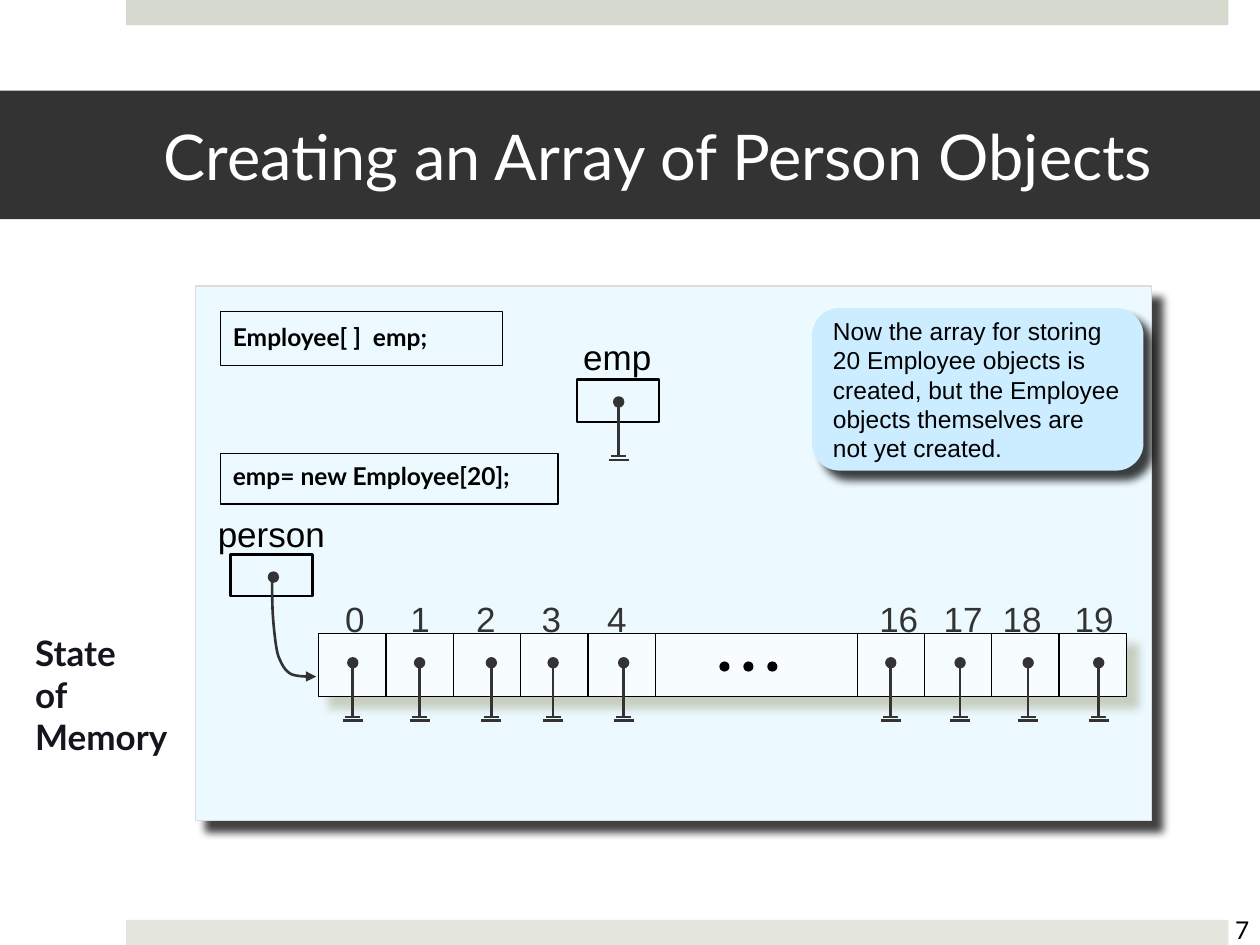
from lxml.etree import SubElement
from pptx import Presentation
from pptx.dml.color import RGBColor
from pptx.enum.shapes import MSO_CONNECTOR as Connector, MSO_SHAPE as Shape
from pptx.enum.text import MSO_ANCHOR as Anchor, PP_ALIGN as Align
from pptx.oxml.ns import qn
from pptx.util import Inches, Pt

BLACK = RGBColor(0x00, 0x00, 0x00)
WHITE = RGBColor(0xFF, 0xFF, 0xFF)
DARK = RGBColor(0x33, 0x33, 0x33)
INK = RGBColor(0x15, 0x15, 0x1D)
TOP_BAND = RGBColor(0xD6, 0xD9, 0xCD)
BOTTOM_BAND = RGBColor(0xE4, 0xE6, 0xDE)
PANEL = RGBColor(0xEC, 0xF9, 0xFE)
PANEL_EDGE = RGBColor(0xDD, 0xDD, 0xDD)
CELL = RGBColor(0xF7, 0xFD, 0xFF)
CELL_SHADOW = RGBColor(0xBB, 0xC0, 0xAC)
CALLOUT = RGBColor(0xCC, 0xEC, 0xFF)

TITLE = {"name": "Lato", "size": Pt(36)}
CODE = {"name": "Lato", "size": Pt(14), "bold": True}
SIDE = {"name": "Lato", "size": Pt(20), "bold": True}
NUMBER = {"name": "Lato", "size": Pt(14)}
LABEL = {"name": "Arial", "size": Pt(20)}
NOTE = {"name": "Arial", "size": Pt(14)}


class MemoryDiagram:
    def __init__(self, slide):
        self.slide = slide

    def outline(self, line, color, width):
        line.color.rgb = color
        line.width = Pt(width)

    def fill_text(self, shape, text, font, color=BLACK, anchor=Anchor.TOP,
                  wrap=True, **paragraph_format):
        frame = shape.text_frame
        frame.word_wrap = wrap
        frame.vertical_anchor = anchor
        frame.text = text
        paragraph_format.setdefault("alignment", Align.LEFT)
        for paragraph in frame.paragraphs:
            for name, value in paragraph_format.items():
                setattr(paragraph, name, value)
            for name, value in font.items():
                setattr(paragraph.font, name, value)
            paragraph.font.color.rgb = color
        return frame

    def text(self, left, top, width, height, text, font, **options):
        box = self.slide.shapes.add_textbox(
            Inches(left), Inches(top), Inches(width), Inches(height))
        return self.fill_text(box, text, font, **options)

    def shape(self, kind, left, top, width, height, fill=None, line=None, weight=0.75):
        shape = self.slide.shapes.add_shape(
            kind, Inches(left), Inches(top), Inches(width), Inches(height))
        shape.shadow.inherit = False
        if fill is None:
            shape.fill.background()
        else:
            shape.fill.solid()
            shape.fill.fore_color.rgb = fill
        if line is None:
            shape.line.fill.background()
        else:
            self.outline(shape.line, line, weight)
        return shape

    def drop_shadow(self, shape, color, distance, angle):
        effects = shape._element.spPr.find(qn("a:effectLst"))
        shadow = SubElement(effects, qn("a:outerShdw"), {
            "blurRad": str(Pt(5)), "dist": str(Pt(distance)),
            "dir": str(angle * 60000), "algn": "ctr", "rotWithShape": "0"})
        tint = SubElement(shadow, qn("a:srgbClr"), val=str(color))
        SubElement(tint, qn("a:alpha"), val="75000")

    def line(self, x1, y1, x2, y2, color=DARK, weight=1.5):
        connector = self.slide.shapes.add_connector(
            Connector.STRAIGHT, Inches(x1), Inches(y1), Inches(x2), Inches(y2))
        self.outline(connector.line, color, weight)
        SubElement(connector._element.spPr, qn("a:effectLst"))

    def dot(self, x, y, color=DARK, size=0.08):
        self.shape(Shape.OVAL, x - size / 2, y - size / 2, size, size, color, color)

    def null_pointer(self, x, y):
        self.dot(x, y)
        self.line(x, y, x, y + 0.44)
        for half, drop in ((0.06, 0.43), (0.08, 0.46)):
            self.line(x - half, y + drop, x + half, y + drop)

    def curved_arrow(self, start, segments, steps=8):
        points, current = [], start
        for control1, control2, end in segments:
            for step in range(1, steps + 1):
                t = step / steps
                weights = ((1 - t) ** 3, 3 * t * (1 - t) ** 2, 3 * t * t * (1 - t), t ** 3)
                corners = (current, control1, control2, end)
                points.append(tuple(
                    Inches(sum(w * c[axis] for w, c in zip(weights, corners)))
                    for axis in (0, 1)))
            current = end
        builder = self.slide.shapes.build_freeform(Inches(start[0]), Inches(start[1]))
        builder.add_line_segments(points, close=False)
        arrow = builder.convert_to_shape()
        arrow.shadow.inherit = False
        arrow.fill.background()
        self.outline(arrow.line, DARK, 1.5)
        SubElement(arrow._element.spPr.find(qn("a:ln")), qn("a:tailEnd"), type="triangle")


def main():
    presentation = Presentation()
    presentation.slide_width = Inches(10)
    presentation.slide_height = Inches(7.5)
    slide = presentation.slides.add_slide(presentation.slide_layouts[6])
    diagram = MemoryDiagram(slide)

    # Page bands and number
    diagram.shape(Shape.RECTANGLE, 1, 0, 8.75, 0.2, TOP_BAND)
    diagram.shape(Shape.RECTANGLE, 1, 7.3, 8.75, 0.2, BOTTOM_BAND)
    diagram.text(9.61, 7.18, 0.5, 0.4, "7", NUMBER,
                 anchor=Anchor.MIDDLE, alignment=Align.CENTER)

    # Title bar
    title = diagram.shape(Shape.RECTANGLE, 0, 0.72, 10, 1.02, DARK)
    frame = diagram.fill_text(title, "Creating an Array of Person Objects", TITLE,
                              color=WHITE, anchor=Anchor.MIDDLE)
    frame.margin_left, frame.margin_right = Inches(1.3), Inches(0.3)

    # Memory panel and side caption
    panel = diagram.shape(Shape.RECTANGLE, 1.55, 2.27, 7.59, 4.24, PANEL, PANEL_EDGE)
    diagram.drop_shadow(panel, BLACK, 9.2, 49)
    diagram.text(0.18, 4.96, 1.35, 1.1, "State\nof\nMemory", SIDE, color=INK)

    # Array with twelve equal cells, the middle ones merged
    left, top, width, height = 2.53, 5.03, 6.41, 0.5
    array = diagram.shape(Shape.RECTANGLE, left, top, width, height, CELL, BLACK)
    diagram.drop_shadow(array, CELL_SHADOW, 8.5, 45)
    for cell in (1, 2, 3, 4, 5, 8, 9, 10, 11):
        x = left + cell * width / 12
        diagram.line(x, top, x, top + height, BLACK, 0.75)
    for x in (5.75, 5.94, 6.13):
        diagram.dot(x, 5.29, BLACK, 0.07)

    # Index labels and empty references
    for index in range(5):
        diagram.text(2.64 + 0.52 * index, 4.69, 0.36, 0.43, str(index), LABEL,
                     color=DARK, wrap=False)
    for index, x in enumerate((6.88, 7.39, 7.86, 8.43), start=16):
        diagram.text(x, 4.69, 0.51, 0.43, str(index), LABEL, color=DARK, wrap=False)
    for x in (2.8, 3.33, 3.9, 4.39, 4.95, 7.07, 7.62, 8.16, 8.72):
        diagram.null_pointer(x, 5.26)

    # Variable pointing at the array
    diagram.text(1.63, 4.02, 1.15, 0.43, "person", LABEL)
    diagram.shape(Shape.RECTANGLE, 1.83, 4.4, 0.65, 0.33, line=BLACK, weight=1.5)
    diagram.dot(2.17, 4.58)
    diagram.curved_arrow((2.16, 4.58), [
        ((2.16, 4.71), (2.16, 4.83), (2.17, 4.94)),
        ((2.18, 5.04), (2.19, 5.15), (2.21, 5.21)),
        ((2.24, 5.28), (2.26, 5.32), (2.31, 5.35)),
        ((2.36, 5.37), (2.43, 5.37), (2.51, 5.37))])

    # Variable without an array
    diagram.text(4.53, 2.61, 1, 0.43, "emp", LABEL)
    diagram.shape(Shape.RECTANGLE, 4.58, 3.01, 0.65, 0.34, line=BLACK, weight=1.5)
    diagram.null_pointer(4.91, 3.19)

    # Code boxes
    for code, box_top, box_width, box_height, text_top, text_width in (
            ("Employee[ ]  emp;", 2.47, 2.24, 0.43, 2.39, 3.83),
            ("emp= new Employee[20];", 3.6, 2.68, 0.4, 3.49, 3.44)):
        diagram.shape(Shape.RECTANGLE, 1.75, box_top, box_width, box_height, PANEL, BLACK)
        diagram.text(1.75, text_top, text_width, 1.06, code, CODE, line_spacing=1.5)

    # Explanation
    note = diagram.shape(Shape.ROUNDED_RECTANGLE, 6.45, 2.45, 2.62, 1.28, CALLOUT, CALLOUT)
    diagram.drop_shadow(note, BLACK, 7.1, 45)
    diagram.fill_text(note, "Now the array for storing 20 Employee objects is created, "
                      "but the Employee objects themselves are not yet created.",
                      NOTE, anchor=Anchor.MIDDLE)

    presentation.save("out.pptx")


if __name__ == "__main__":
    main()
